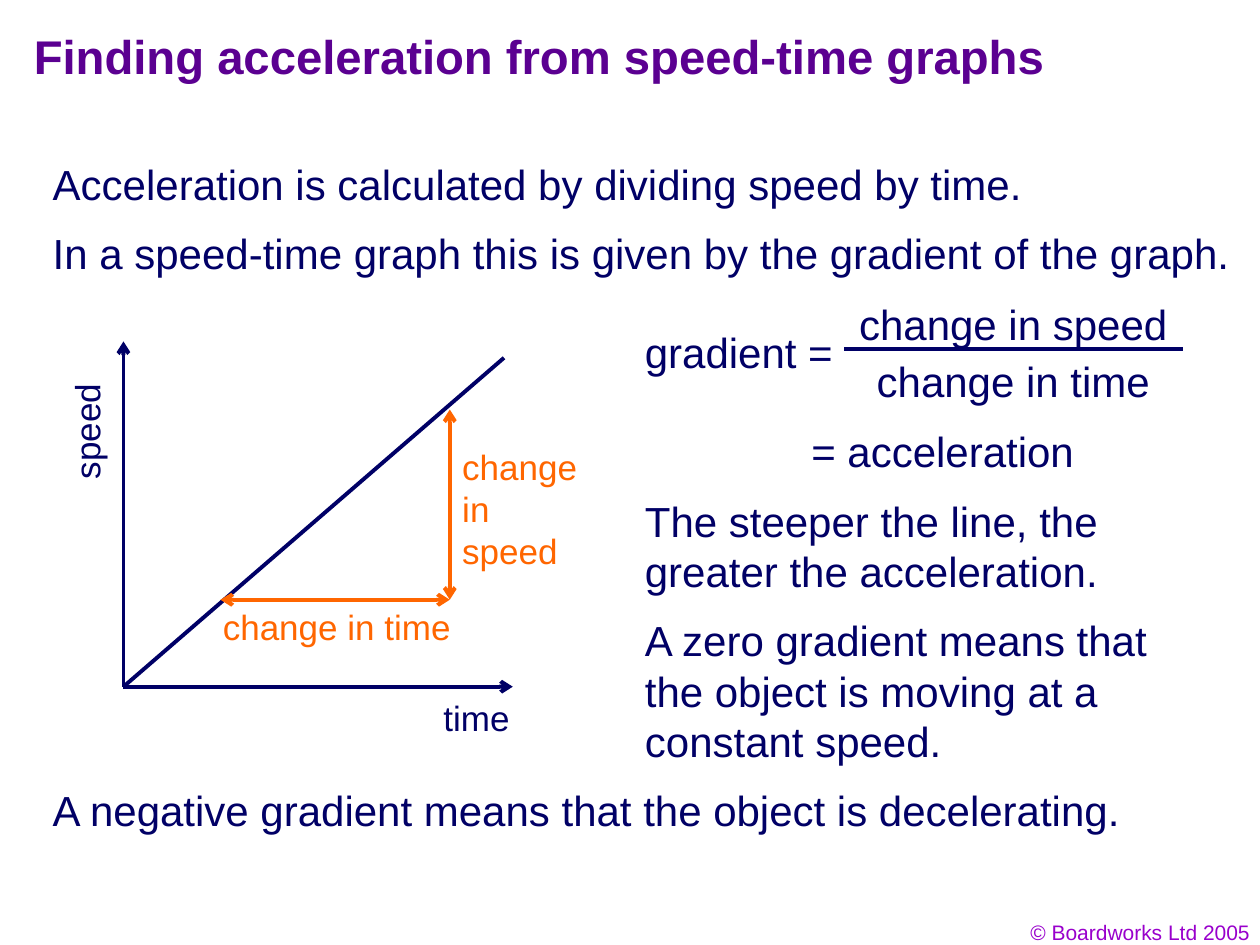
from lxml.etree import SubElement
from pptx import Presentation
from pptx.dml.color import RGBColor
from pptx.enum.shapes import MSO_CONNECTOR as Connector
from pptx.enum.text import MSO_AUTO_SIZE as AutoSize, PP_ALIGN as Align
from pptx.oxml.ns import qn
from pptx.util import Inches, Pt

COLORS = {
    "title": "5B0091",
    "text": "010066",
    "line": "000066",
    "change": "FF6600",
    "footer": "9900CC",
}


def add_text(slide, text, box, size=24, color="text", bold=False,
             align=Align.LEFT, wrap=True, rotation=0):
    label = slide.shapes.add_textbox(*(Inches(v) for v in box))
    label.rotation = rotation
    frame = label.text_frame
    frame.word_wrap = wrap
    frame.auto_size = AutoSize.NONE
    frame.text = text
    paragraph = frame.paragraphs[0]
    paragraph.alignment = align
    font = paragraph.runs[0].font
    font.name, font.size, font.bold = "Arial", Pt(size), bold
    font.color.rgb = RGBColor.from_string(COLORS[color])


def add_line(slide, start, end, color="line", arrows=()):
    """Draw a line; arrows lists the arrowed ends: headEnd, then tailEnd."""
    line = slide.shapes.add_connector(
        Connector.STRAIGHT, *(Inches(v) for v in (*start, *end)))
    line.line.color.rgb = RGBColor.from_string(COLORS[color])
    line.line.width = Pt(2.25)
    outline = line.line._get_or_add_ln()
    for arrow in arrows:
        SubElement(outline, qn(f"a:{arrow}"), type="arrow")
    SubElement(line._element.spPr, qn("a:effectLst"))


def add_statements(slide, left, top):
    # Full-width sentences above and below the graph
    statements = [
        (0, 9.39, "Acceleration is calculated by dividing speed by time."),
        (0.55, 9.55, "In a speed-time graph this is given by the gradient of the graph."),
        (4.97, 9.52, "A negative gradient means that the object is decelerating."),
    ]
    for offset, width, sentence in statements:
        add_text(slide, sentence, (left, top + offset, width, 0.5))


def add_graph(slide, left, top, width, height):
    origin = (left, top + height)
    right_end = (left + width, top + height)

    # Axes and their labels
    add_line(slide, origin, right_end, arrows=["tailEnd"])
    add_line(slide, origin, (left, top), arrows=["tailEnd"])
    add_text(slide, "time", (left + 2.44, top + height + 0.03, 0.72, 0.44),
             20, wrap=False)
    add_text(slide, "speed", (left - 0.77, top + 0.49, 0.96, 0.44),
             20, wrap=False, rotation=270)

    # Speed line
    add_line(slide, origin, (left + 3.02, top + 0.13))

    # Changes in speed and time, meeting at one corner
    corner_x, corner_y = left + 2.59, top + 2.05
    both_ends = ["headEnd", "tailEnd"]
    add_line(slide, (corner_x, corner_y), (corner_x, corner_y - 1.51),
             "change", both_ends)
    add_text(slide, "change in speed",
             (corner_x, corner_y - 1.27, 1.18, 1.1), 20, "change")
    add_line(slide, (corner_x - 1.82, corner_y), (corner_x, corner_y),
             "change", both_ends)
    add_text(slide, "change in time",
             (corner_x - 1.9, corner_y, 2.17, 0.44), 20, "change")


def add_explanation(slide, left, top):
    # Gradient formula with its fraction bar
    bar_y = top + 0.45
    add_text(slide, "gradient =", (left, top + 0.22, 1.83, 0.5))
    add_text(slide, "change in speed", (left + 1.7, top, 2.64, 0.5), wrap=False)
    add_line(slide, (left + 1.68, bar_y), (left + 4.37, bar_y))
    add_text(slide, "change in time", (left + 1.84, bar_y, 2.37, 0.5), wrap=False)
    add_text(slide, "= acceleration", (left + 1.32, top + 1.01, 2.28, 0.5), wrap=False)

    # What the gradient means
    add_text(slide, "The steeper the line, the greater the acceleration.",
             (left, top + 1.56, 4.23, 0.9))
    add_text(slide, "A zero gradient means that the object is moving at a constant speed.",
             (left, top + 2.51, 4.5, 1.3))


def main():
    deck = Presentation()
    deck.slide_width, deck.slide_height = Inches(10), Inches(7.5)
    slide = deck.slides.add_slide(deck.slide_layouts[6])

    add_text(slide, "Finding acceleration from speed-time graphs",
             (0.17, 0.17, 8.5, 0.67), 27, "title", bold=True)
    add_statements(slide, 0.32, 1.21)
    add_graph(slide, 0.98, 2.71, 3.09, 2.74)
    add_explanation(slide, 5.02, 2.32)
    add_text(slide, "© Boardworks Ltd 2005", (7.69, 7.25, 2.33, 0.3),
             12, "footer", align=Align.RIGHT)

    deck.save("out.pptx")


if __name__ == "__main__":
    main()
